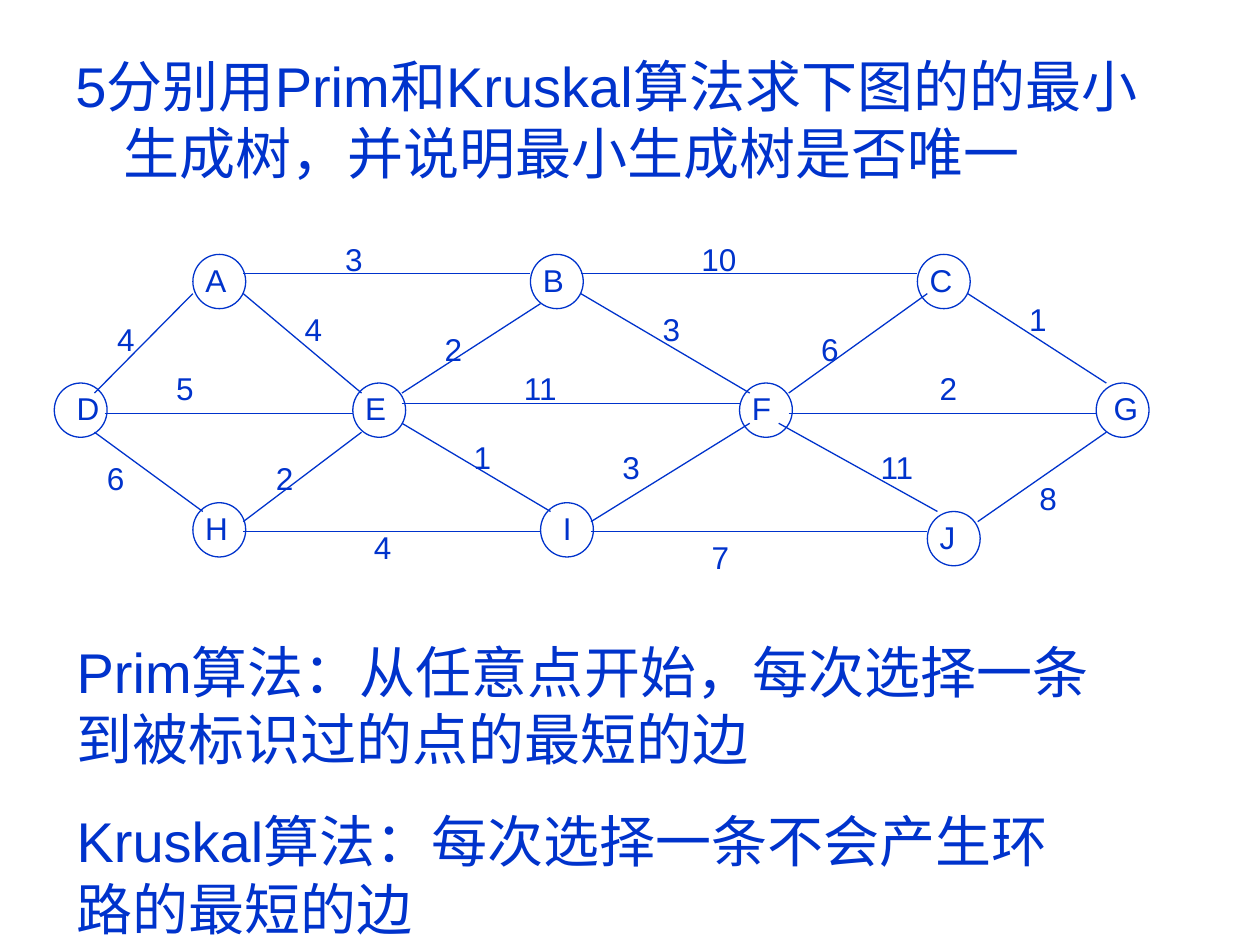
import pptx
import pptx.dml.color
import pptx.enum.shapes
import pptx.enum.text
import pptx.oxml.ns
import pptx.util
from lxml import etree

Pt = pptx.util.Pt
BLUE = pptx.dml.color.RGBColor(0x00, 0x33, 0xCC)
FONT = "Arial"
NODE_WIDTH, NODE_HEIGHT = 30.2, 31
LABEL_HEIGHT = 28.8
BODY_SIZE, LABEL_SIZE = 32, 18

QUESTION = "5分别用Prim和Kruskal算法求下图的的最小生成树，并说明最小生成树是否唯一"
ANSWERS = [
    "Prim算法：从任意点开始，每次选择一条到被标识过的点的最短的边",
    "Kruskal算法：每次选择一条不会产生环路的最短的边",
]

# Name, circle left and top, label shift to the right, label width
NODES = [
    ("D", 31, 218.9, 5.7, 17.3),
    ("A", 110.2, 145.4, 0, 28.1),
    ("H", 110.2, 287.3, 0, 33.8),
    ("J", 529.9, 292.3, 0, 39.6),
    ("E", 201.6, 218.9, 0, 39.6),
    ("I", 308.9, 287.3, 5.7, 39.6),
    ("B", 303.1, 145.4, 0, 39.6),
    ("C", 524.2, 145.4, 0, 33.8),
    ("G", 626.4, 218.9, 2.9, 39.6),
    ("F", 422.6, 218.9, 0, 33.8),
]

# Weight, start point, end point, label left, top and width
EDGES = [
    ("4", (54, 224.6), (110.2, 167.8), (59.8, 179.3, 28.1)),     # D-A
    ("6", (54, 247), (115.9, 292.3), (54, 258.5, 33.8)),         # D-H
    ("5", (59.8, 236.2), (201.6, 236.2), (93.6, 207.4, 33.8)),   # D-E
    ("3", (139, 156.2), (303.1, 156.2), (190.1, 133.9, 39.6)),   # A-B
    ("2", (139, 298.1), (206.6, 247), (150.5, 258.5, 22.3)),     # H-E
    ("4", (139, 167.8), (206.6, 224.6), (167, 173.5, 28.1)),     # A-E
    ("4", (139, 303.8), (308.9, 303.8), (206.6, 298.1, 33.8)),   # H-I
    ("1", (229.7, 241.9), (314.6, 292.3), (263.5, 247, 23)),     # E-I
    ("2", (229.7, 224.6), (308.9, 173.5), (247, 185, 17.3)),     # E-B
    ("3", (331.9, 167.8), (428.4, 224.6), (371.5, 173.5, 28.1)), # B-F
    ("3", (337.7, 298.1), (428.4, 241.9), (348.5, 252.7, 22.3)), # I-F
    ("11", (229.7, 230.4), (422.6, 230.4), (292.3, 207.4, 39.6)),  # E-F
    ("6", (450.7, 224.6), (529.9, 167.8), (462.2, 185, 28.1)),   # F-C
    ("2", (450.7, 236.2), (626.4, 236.2), (529.9, 207.4, 22.3)), # F-G
    ("7", (337.7, 303.8), (529.9, 303.8), (399.6, 303.8, 33.8)), # I-J
    ("11", (445, 241.9), (535.7, 292.3), (496.1, 252.7, 51.1)),  # F-J
    ("8", (558.7, 298.1), (632.2, 247), (586.8, 270, 22.3)),     # J-G
    ("1", (553, 167.8), (632.2, 218.9), (581, 167.8, 28.1)),     # C-G
    ("10", (331.9, 156.2), (524.2, 156.2), (393.8, 133.9, 45.4)),  # B-C
]


def write_paragraph(para, text, *, size, space_before=0, hanging=0):
    if hanging:
        properties = para._p.get_or_add_pPr()
        properties.set("marL", str(Pt(hanging)))
        properties.set("indent", str(Pt(-hanging)))
    para.space_before = Pt(space_before)
    span = para.add_run()
    span.text = text
    span.font.name = FONT
    span.font.size = Pt(size)
    span.font.color.rgb = BLUE


class GraphSlide:
    def __init__(self, page, line_width=0.75):
        self.shapes = page.shapes
        self.line_width = Pt(line_width)

    def draw_outline(self, line):
        line.color.rgb = BLUE
        line.width = self.line_width

    def text(self, left, top, width, height, *texts, size, gap=0, hanging=0):
        box = self.shapes.add_textbox(Pt(left), Pt(top), Pt(width), Pt(height))
        frame = box.text_frame
        frame.word_wrap = True
        frame.auto_size = pptx.enum.text.MSO_AUTO_SIZE.NONE
        for index, text in enumerate(texts):
            para = frame.add_paragraph() if index else frame.paragraphs[0]
            write_paragraph(para, text, size=size, hanging=hanging,
                            space_before=gap if index else 0)

    def label(self, text, left, top, width):
        self.text(left, top, width, LABEL_HEIGHT, text, size=LABEL_SIZE)

    def node(self, left, top):
        circle = self.shapes.add_shape(
            pptx.enum.shapes.MSO_SHAPE.OVAL,
            Pt(left), Pt(top), Pt(NODE_WIDTH), Pt(NODE_HEIGHT))
        circle.shadow.inherit = False
        circle.fill.background()
        self.draw_outline(circle.line)

    def edge(self, start, end):
        connector = self.shapes.add_connector(
            pptx.enum.shapes.MSO_CONNECTOR.STRAIGHT,
            *(Pt(value) for value in start + end))
        self.draw_outline(connector.line)
        etree.SubElement(connector._element.spPr,
                         pptx.oxml.ns.qn("a:effectLst"))


def main():
    deck = pptx.Presentation()
    deck.slide_width, deck.slide_height = Pt(720), Pt(540)
    graph = GraphSlide(deck.slides.add_slide(deck.slide_layouts[6]))

    graph.text(36, 25.9, 648, 456.5, QUESTION, size=BODY_SIZE, hanging=27.4)
    for name, left, top, shift, width in NODES:
        graph.node(left, top)
    for weight, start, end, place in EDGES:
        graph.edge(start, end)
    for weight, start, end, place in EDGES:
        graph.label(weight, *place)
    for name, left, top, shift, width in NODES:
        graph.label(name, left + shift, top, width)
    graph.text(36.7, 360.7, 601.2, 180.7, *ANSWERS, size=BODY_SIZE, gap=20)

    deck.save("out.pptx")


if __name__ == "__main__":
    main()
